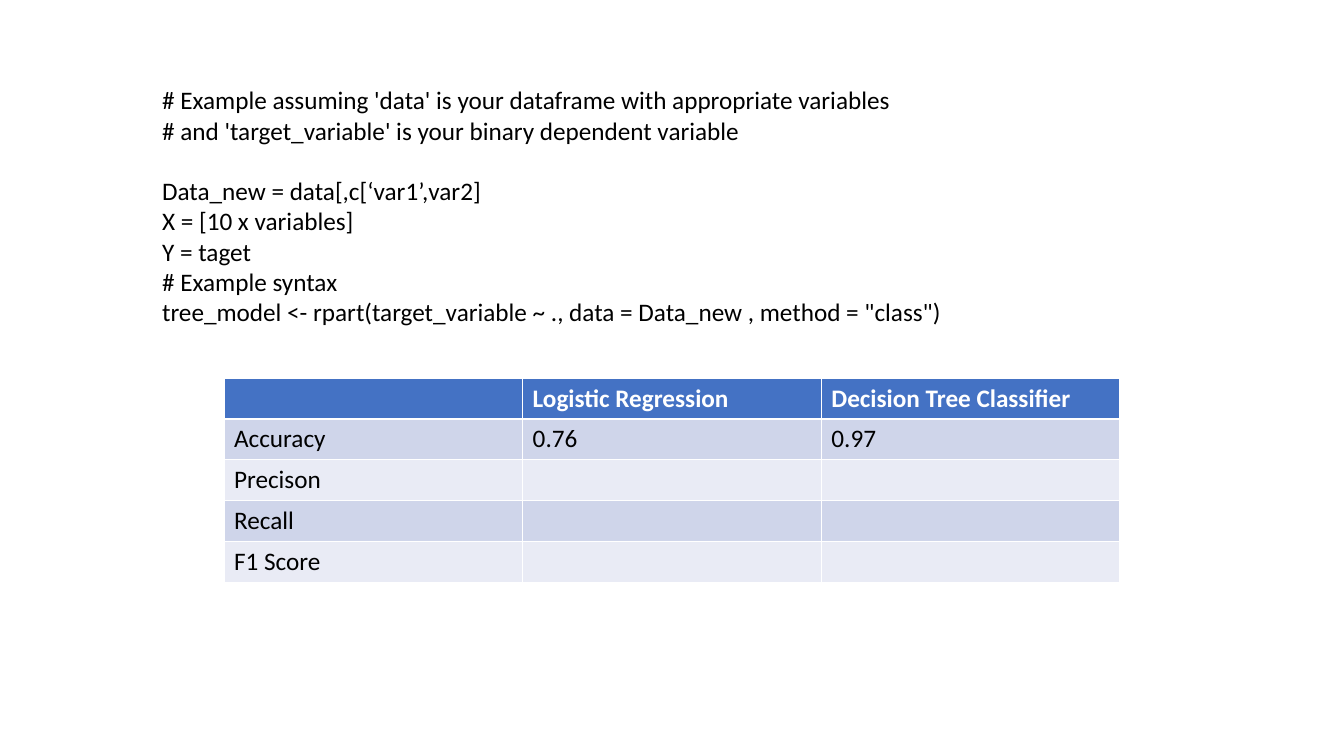
from pptx import Presentation
from pptx.dml.color import RGBColor
from pptx.enum.text import MSO_AUTO_SIZE
from pptx.util import Inches, Pt

FIT_SHAPE = MSO_AUTO_SIZE.SHAPE_TO_FIT_TEXT
FONT, SIZE, LINE_PITCH = "Calibri", 18, 21.6
BLACK, WHITE, HEADER = "000000", "FFFFFF", "4472C4"
BANDS = ("CFD5EA", "E9EBF5")

CODE_BLOCKS = [
    [
        "# Example assuming 'data' is your dataframe with appropriate variables",
        "# and 'target_variable' is your binary dependent variable",
    ],
    [
        "Data_new = data[,c[‘var1’,var2]",
        "X = [10 x variables]",
        "Y = taget",
        "# Example syntax",
        'tree_model <- rpart(target_variable ~ ., data = Data_new , method = "class")',
    ],
]
METRICS = [
    ("", "Logistic Regression", "Decision Tree Classifier"),
    ("Accuracy", "0.76", "0.97"),
    ("Precison", "", ""),
    ("Recall", "", ""),
    ("F1 Score", "", ""),
]


def color(value):
    return RGBColor.from_string(value)


def style(paragraph, ink, bold=False):
    font = paragraph.font
    font.name, font.size, font.bold = FONT, Pt(SIZE), bold
    font.color.rgb = color(ink)


def add_code(slide):
    box = slide.shapes.add_textbox(Inches(1.51), Inches(0.79), Inches(10.7), Inches(2.52))
    frame = box.text_frame
    frame.word_wrap = True
    frame.auto_size = FIT_SHAPE
    frame.text = "\n".join(line for block in CODE_BLOCKS for line in block)
    for paragraph in frame.paragraphs:
        style(paragraph, BLACK)
    second_block = frame.paragraphs[len(CODE_BLOCKS[0])]
    second_block.space_before = Pt(LINE_PITCH)


def add_metrics(slide, slide_width):
    rows, columns = len(METRICS), len(METRICS[0])
    width = slide_width * 2 // 3
    left = (slide_width - width) // 2
    table = slide.shapes.add_table(
        rows, columns, left, Inches(3.75), width, Inches(2.03)
    ).table
    for r, values in enumerate(METRICS):
        is_header = r == 0
        fill = HEADER if is_header else BANDS[(r - 1) % 2]
        for c, value in enumerate(values):
            cell = table.cell(r, c)
            cell.text = value
            cell.fill.solid()
            cell.fill.fore_color.rgb = color(fill)
            style(cell.text_frame.paragraphs[0], WHITE if is_header else BLACK, is_header)


def main():
    deck = Presentation()
    deck.slide_width, deck.slide_height = Inches(13.33), Inches(7.5)
    slide = deck.slides.add_slide(deck.slide_layouts[6])
    add_code(slide)
    add_metrics(slide, deck.slide_width)
    deck.save("out.pptx")


if __name__ == "__main__":
    main()
